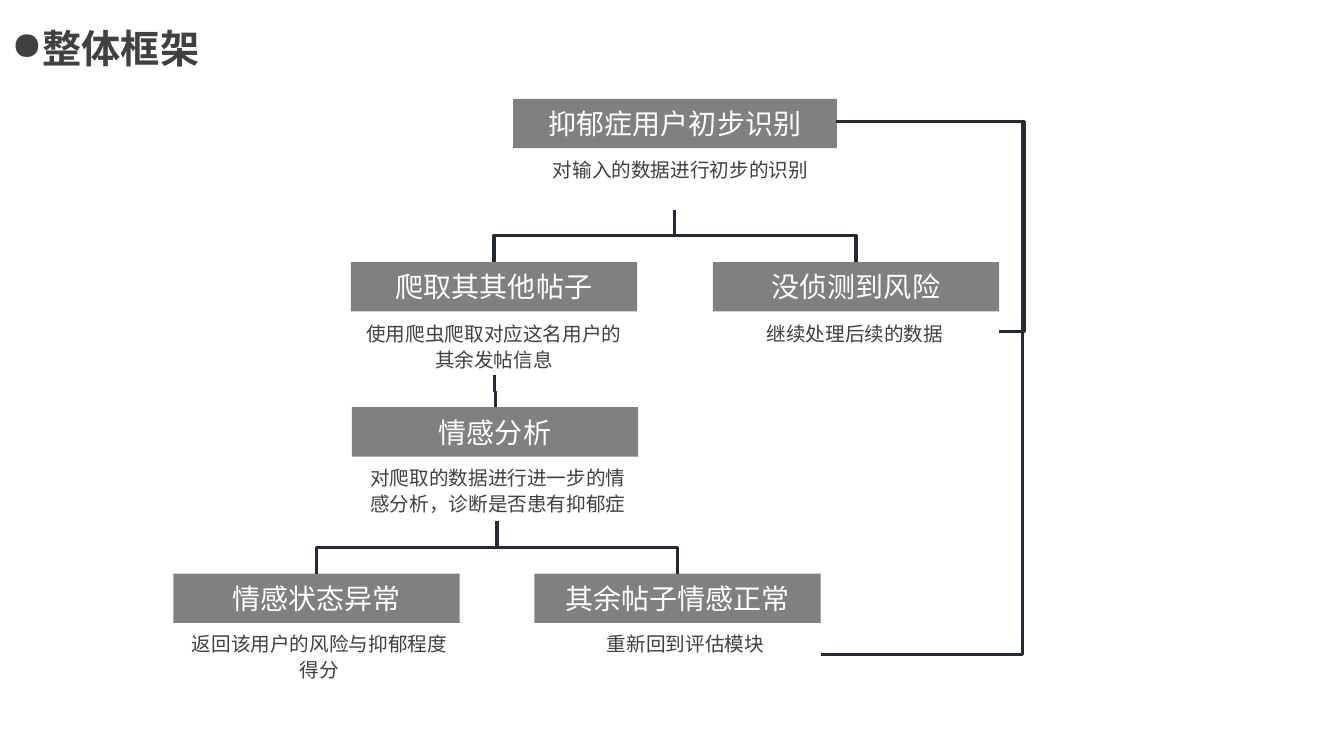
from dataclasses import dataclass

from lxml.etree import SubElement
from pptx import Presentation
from pptx.dml.color import RGBColor
from pptx.enum.shapes import MSO_CONNECTOR, MSO_SHAPE
from pptx.enum.text import MSO_ANCHOR, MSO_AUTO_SIZE, PP_ALIGN
from pptx.oxml.ns import qn
from pptx.util import Inches, Pt


@dataclass(frozen=True)
class Theme:
    font: str = "Noto Sans CJK SC"
    ink: RGBColor = RGBColor(0x40, 0x40, 0x40)
    bar: RGBColor = RGBColor(0x80, 0x80, 0x80)
    bar_text: RGBColor = RGBColor(0xFF, 0xFF, 0xFF)
    line: RGBColor = RGBColor(0x22, 0x2A, 0x35)
    title_size: Pt = Pt(28)
    bar_size: Pt = Pt(20)
    note_size: Pt = Pt(14)
    line_width: Pt = Pt(2.25)


def apply(target, values):
    for name, value in values.items():
        setattr(target, name, value)


class FlowSlide:
    def __init__(self, deck, theme):
        self.theme = theme
        self.page = deck.slides.add_slide(deck.slide_layouts[5])

    def label(self, box, text, size, color, bold=False, spacing=1.0):
        para = box.text_frame.paragraphs[0]
        apply(para, {"alignment": PP_ALIGN.CENTER, "line_spacing": spacing})
        span = para.add_run()
        span.text = text
        apply(span.font, {"name": self.theme.font, "size": size, "bold": bold})
        span.font.color.rgb = color
        SubElement(span._r.get_or_add_rPr(), qn("a:ea"), typeface=self.theme.font)
        return para

    def title(self, text, left, top, width, height):
        box = self.page.shapes.title
        apply(box, {"left": Inches(left), "top": Inches(top),
                    "width": Inches(width), "height": Inches(height)})
        apply(box.text_frame, {"word_wrap": False, "auto_size": MSO_AUTO_SIZE.NONE,
                               "vertical_anchor": MSO_ANCHOR.MIDDLE})
        para = self.label(box, text, self.theme.title_size, self.theme.ink, bold=True)
        properties = para._p.get_or_add_pPr()
        properties.set("marL", str(Inches(0.31)))
        properties.set("indent", str(Inches(-0.31)))
        SubElement(properties, qn("a:buChar"), char="●")

    def bar(self, text, left, top, width):
        box = self.page.shapes.add_shape(
            MSO_SHAPE.RECTANGLE, Inches(left), Inches(top), Inches(width), Inches(0.49))
        box.shadow.inherit = False
        box.fill.solid()
        box.fill.fore_color.rgb = self.theme.bar
        box.line.fill.background()
        apply(box.text_frame, {"word_wrap": True, "vertical_anchor": MSO_ANCHOR.MIDDLE})
        self.label(box, text, self.theme.bar_size, self.theme.bar_text)

    def note(self, text, left, top, height):
        box = self.page.shapes.add_textbox(
            Inches(left), Inches(top), Inches(2.86), Inches(height))
        box.text_frame.word_wrap = True
        self.label(box, text, self.theme.note_size, self.theme.ink, spacing=1.1)

    def elbow(self, start, end):
        link = self.page.shapes.add_connector(
            MSO_CONNECTOR.ELBOW, *(Inches(value) for value in (*start, *end)))
        link.line.width = self.theme.line_width
        link.line.color.rgb = self.theme.line
        properties = link._element.spPr
        SubElement(properties, qn("a:effectLst"))
        return properties

    def branch(self, start, end):
        (x1, y1), (x2, y2) = start, end
        middle_x, middle_y = (x1 + x2) / 2, (y1 + y2) / 2
        half_width, half_height = (y2 - y1) / 2, abs(x2 - x1) / 2
        side, turn = (1, 270) if x2 > x1 else (-1, 90)
        properties = self.elbow(
            (middle_x + side * half_width, middle_y - half_height),
            (middle_x - side * half_width, middle_y + half_height))
        properties.find(qn("a:xfrm")).set("rot", str(turn * 60000))

    def loop(self, start, end, rail):
        properties = self.elbow(start, end)
        ratio = (rail - start[0]) / (end[0] - start[0])
        guides = properties.find(qn("a:prstGeom")).get_or_add_avLst()
        SubElement(guides, qn("a:gd"), name="adj1", fmla=f"val {round(ratio * 100000)}")


STEPS = [
    ("抑郁症用户初步识别", 5.09, 0.98, 3.21, "对输入的数据进行初步的识别", 5.32, 1.49, 0.35),
    ("爬取其其他帖子", 3.48, 2.6, 2.84, "使用爬虫爬取对应这名用户的其余发帖信息", 3.47, 3.12, 0.61),
    ("没侦测到风险", 7.07, 2.6, 2.84, "继续处理后续的数据", 7.05, 3.12, 0.35),
    ("情感分析", 3.49, 4.04, 2.84, "对爬取的数据进行进一步的情感分析，诊断是否患有抑郁症", 3.51, 4.55, 0.61),
    ("情感状态异常", 1.72, 5.69, 2.84, "返回该用户的风险与抑郁程度得分", 1.74, 6.2, 0.61),
    ("其余帖子情感正常", 5.3, 5.69, 2.84, "重新回到评估模块", 5.37, 6.2, 0.35),
]
BRANCHES = [
    ((6.69, 2.08), (4.9, 2.6)),
    ((6.69, 2.08), (8.49, 2.6)),
    ((4.9, 3.72), (4.91, 4.04)),
    ((4.93, 5.17), (3.14, 5.69)),
    ((4.93, 5.17), (6.72, 5.69)),
]
LOOPS = [((9.91, 3.29), 10.16), ((8.14, 6.49), 10.14)]
LOOP_END = (8.29, 1.21)


def main():
    deck = Presentation()
    apply(deck, {"slide_width": Inches(13.33), "slide_height": Inches(7.5)})
    flow = FlowSlide(deck, Theme())
    flow.title("整体框架", 0, 0.19, 2.09, 0.57)
    for name, left, top, width, detail, note_left, note_top, note_height in STEPS:
        flow.bar(name, left, top, width)
        flow.note(detail, note_left, note_top, note_height)
    for start, end in BRANCHES:
        flow.branch(start, end)
    for start, rail in LOOPS:
        flow.loop(start, LOOP_END, rail)
    deck.save("out.pptx")


if __name__ == "__main__":
    main()
